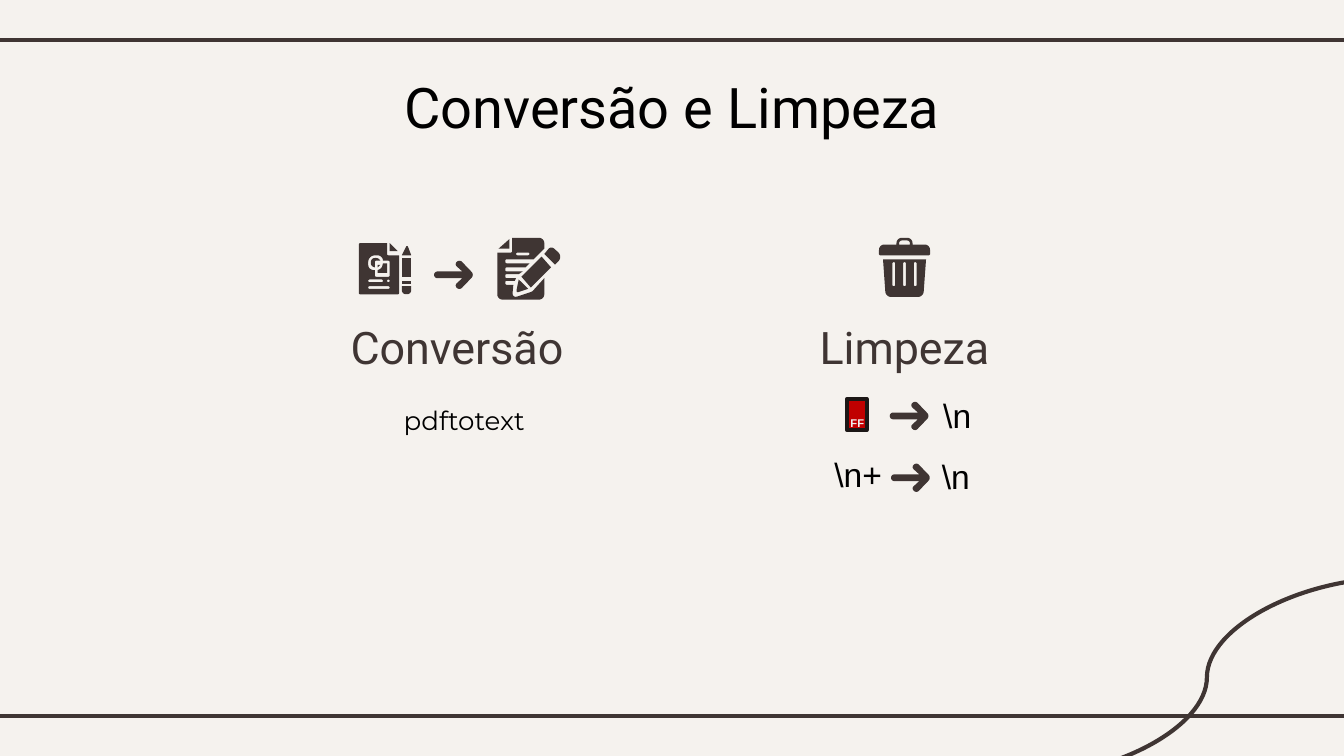
import pptx
import pptx.util
import pptx.dml.color
import pptx.enum.shapes
import pptx.enum.text
import pptx.oxml.ns
import lxml.etree

Inches = pptx.util.Inches
COLORS = {
    "paper": "F5F2EE",
    "ink": "3F3533",
    "black": "000000",
    "red": "C00000",
    "card_edge": "1C1716",
    "card_text": "EEEEEE",
}
CURVE_STEPS = 6


def color(name):
    return pptx.dml.color.RGBColor.from_string(COLORS[name])


def box(x, y, width, height, radius=0):
    """Corners of a rectangle, each as (x, y, radius)."""
    right, bottom = x + width, y + height
    return [(x, y, radius), (right, y, radius),
            (right, bottom, radius), (x, bottom, radius)]


def toward(start, end, distance):
    length = ((end[0] - start[0]) ** 2 + (end[1] - start[1]) ** 2) ** 0.5
    share = distance / length
    return tuple(a + (b - a) * share for a, b in zip(start[:2], end[:2]))


def rounded(corners):
    """Turn corners (x, y[, radius]) into outline points with round corners."""
    points = []
    for i, corner in enumerate(corners):
        radius = corner[2] if len(corner) > 2 else 0
        if not radius:
            points.append(corner[:2])
            continue
        before, after = corners[i - 1], corners[(i + 1) % len(corners)]
        controls = [toward(corner, before, radius), toward(corner, before, radius * 0.45),
                    toward(corner, after, radius * 0.45), toward(corner, after, radius)]
        for step in range(CURVE_STEPS + 1):
            t = step / CURVE_STEPS
            weights = ((1 - t) ** 3, 3 * t * (1 - t) ** 2, 3 * t * t * (1 - t), t ** 3)
            points.append(tuple(sum(w * c[axis] for w, c in zip(weights, controls))
                                for axis in (0, 1)))
    return [(Inches(x), Inches(y)) for x, y in points]


class SlideBuilder:
    def __init__(self, slide):
        self.slide = slide
        self.canvas = slide.shapes
        slide.background.fill.solid()
        slide.background.fill.fore_color.rgb = color("paper")

    def start_group(self):
        """Send the elements that follow into a new group."""
        self.canvas = self.slide.shapes.add_group_shape().shapes

    def connector(self, kind, start, end):
        line = self.canvas.add_connector(kind, *map(Inches, start + end))
        line.line.color.rgb = color("ink")
        line.line.width = pptx.util.Pt(2.25)
        lxml.etree.SubElement(line._element.spPr, pptx.oxml.ns.qn("a:effectLst"))

    def text(self, place, words, size, font="Arial", ink="black", bold=False,
             centered=True, indent=None):
        frame = self.canvas.add_textbox(*map(Inches, place)).text_frame
        frame.word_wrap = centered
        frame.vertical_anchor = pptx.enum.text.MSO_ANCHOR.TOP
        para = frame.paragraphs[0]
        if centered:
            frame.margin_top = frame.margin_bottom = Inches(0.1)
            para.alignment = pptx.enum.text.PP_ALIGN.CENTER
        else:
            frame.auto_size = pptx.enum.text.MSO_AUTO_SIZE.SHAPE_TO_FIT_TEXT
        if indent:
            properties = para._p.get_or_add_pPr()
            for key, value in zip(("marL", "indent"), indent):
                properties.set(key, str(Inches(value)))
        span = para.add_run()
        span.text = words
        span.font.name = font
        span.font.size = pptx.util.Pt(size)
        span.font.bold = bold
        span.font.color.rgb = color(ink)

    def outline(self, *contours):
        """Draw one filled shape; contours inside the first are holes."""
        first, *others = map(rounded, contours)
        builder = self.canvas.build_freeform(*first[0])
        builder.add_line_segments(first[1:], close=True)
        for points in others:
            builder.move_to(*points[0])
            builder.add_line_segments(points[1:], close=True)
        shape = builder.convert_to_shape()
        shape.shadow.inherit = False
        shape.fill.solid()
        shape.fill.fore_color.rgb = color("ink")
        shape.line.fill.background()

    def arrow(self, x, y):
        corners = [(0, 0.08, 0.025), (0.21, 0.08), (0.15, 0.025, 0.025),
                   (0.19, -0.01, 0.025), (0.3, 0.105, 0.03), (0.19, 0.22, 0.025),
                   (0.15, 0.185, 0.025), (0.21, 0.13), (0, 0.13, 0.025)]
        self.outline([(x + dx, y + dy, *radius) for dx, dy, *radius in corners])

    def card(self, place):
        card = self.canvas.add_shape(pptx.enum.shapes.MSO_SHAPE.RECTANGLE,
                                     *map(Inches, place))
        card.shadow.inherit = False
        card.fill.solid()
        card.fill.fore_color.rgb = color("red")
        card.line.color.rgb = color("card_edge")
        card.line.width = pptx.util.Pt(2)

    def drawing_icon(self):
        self.outline([(2.76, 1.92, 0.03), (2.82, 1.92, 0.02), (2.83, 1.94),
                      (2.79, 1.94, 0.01), (2.79, 1.99), (2.76, 1.98, 0.02)])
        self.outline([(2.81, 1.97), (2.83, 1.97), (2.81, 1.99)])
        self.outline([(2.9, 1.81), (2.96, 1.87), (2.9, 1.87)])
        page = [(2.67, 1.81, 0.01), (2.88, 1.81), (2.88, 1.9, 0.01),
                (2.97, 1.9), (2.97, 2.19, 0.01), (2.67, 2.19, 0.01)]
        circle_and_square = [
            (2.74, 1.9, 0.05), (2.85, 1.9, 0.04), (2.85, 1.94), (2.9, 1.94, 0.01),
            (2.9, 2.06, 0.01), (2.79, 2.06, 0.01), (2.79, 2.01), (2.74, 2.01, 0.04)]
        self.outline(page, circle_and_square, box(2.74, 2.08, 0.11, 0.02, 0.01),
                     box(2.88, 2.08, 0.02, 0.02, 0.01), box(2.74, 2.13, 0.16, 0.02, 0.01))
        self.outline([(2.81, 2.01), (2.84, 2, 0.02), (2.85, 1.96), (2.88, 1.96),
                      (2.88, 2.03), (2.81, 2.03)])
        self.outline(box(2.99, 2.09, 0.07, 0.02))
        self.outline(box(2.99, 1.92, 0.07, 0.14))
        self.outline([(2.99, 2.13), (3.06, 2.13), (3.06, 2.19, 0.03), (2.99, 2.19, 0.03)])
        self.outline([(2.99, 1.9), (3.03, 1.82, 0.02), (3.06, 1.9)])

    def writing_icon(self):
        page = [(3.7, 1.88), (3.81, 1.88, 0.01), (3.81, 1.77),
                (4.05, 1.77, 0.04), (4.05, 1.85)]
        text_lines = [(1.93, 3.97, 3.94), (1.99, 3.91, 3.89),
                      (2.04, 3.86, 3.84), (2.09, 3.83, 3.82)]
        for y, upper_end, lower_end in text_lines:
            page += [(upper_end, y), (3.76, y, 0.01), (3.76, y + 0.03, 0.01),
                     (lower_end, y + 0.03)]
        page += [(3.81, 2.22, 0.04), (3.96, 2.17, 0.01), (4.05, 2.07),
                 (4.05, 2.23, 0.04), (3.7, 2.23, 0.04)]
        self.outline(page, box(3.84, 1.88, 0.1, 0.02, 0.01))
        self.outline([(3.86, 2.08), (3.93, 2.15), (3.84, 2.18, 0.02)])
        self.outline([(4.05, 1.89), (4.1, 1.83, 0.03), (4.19, 1.91, 0.05), (4.13, 1.97)])
        self.outline([(4.03, 1.91), (3.88, 2.06), (3.95, 2.14), (4.1, 1.99)])
        self.outline([(3.79, 1.78), (3.71, 1.85), (3.79, 1.85)])

    def bin_icon(self):
        body = [(6.57, 1.93), (6.89, 1.93), (6.87, 2.21, 0.04), (6.59, 2.21, 0.04)]
        slots = [box(x, 1.95, 0.02, 0.18, 0.01) for x in (6.64, 6.72, 6.8)]
        self.outline(body, *slots)
        lid = [(6.54, 1.82, 0.04), (6.67, 1.82), (6.67, 1.77, 0.04), (6.79, 1.77, 0.04),
               (6.79, 1.82), (6.92, 1.82, 0.04), (6.92, 1.9, 0.01), (6.54, 1.9, 0.01)]
        handle = [(6.69, 1.79, 0.02), (6.77, 1.79, 0.02), (6.77, 1.82), (6.69, 1.82)]
        self.outline(lid, handle)


def main():
    deck = pptx.Presentation()
    deck.slide_width = Inches(10)
    deck.slide_height = deck.slide_width * 9 // 16
    page = SlideBuilder(deck.slides.add_slide(deck.slide_layouts[6]))
    kinds = pptx.enum.shapes.MSO_CONNECTOR

    for y in (0.3, 5.33):
        page.connector(kinds.STRAIGHT, (-0.08, y), (10.08, y))
    page.connector(kinds.CURVE, (10.37, 4.3), (7.59, 5.78))

    page.text((1.54, 0.44, 6.92, 0.63), "Conversão e Limpeza", 30, "Roboto")
    page.text((5.98, 2.28, 1.5, 0.55), "Limpeza", 24, "Roboto", "ink")
    page.text((2.49, 2.28, 1.82, 0.55), "Conversão", 24, "Roboto", "ink")
    page.text((2.68, 2.91, 1.43, 0.41), "pdftotext", 14, "Montserrat", indent=(0.5, -0.38))

    page.start_group()
    page.writing_icon()
    page.drawing_icon()
    page.arrow(3.23, 1.94)

    page.start_group()
    page.card((6.3, 2.97, 0.15, 0.23))
    page.text((6.23, 3.05, 0.33, 0.2), "FF", 6, ink="card_text", bold=True, centered=False)
    page.arrow(6.62, 2.99)
    page.text((6.92, 2.89, 0.43, 0.4), r"\n", 18, centered=False)

    page.start_group()
    page.text((6.11, 3.33, 0.58, 0.4), r"\n+", 18, centered=False)
    page.arrow(6.63, 3.45)
    page.text((6.91, 3.34, 0.43, 0.4), r"\n", 18, centered=False)

    page.start_group()
    page.bin_icon()
    deck.save("out.pptx")


if __name__ == "__main__":
    main()
